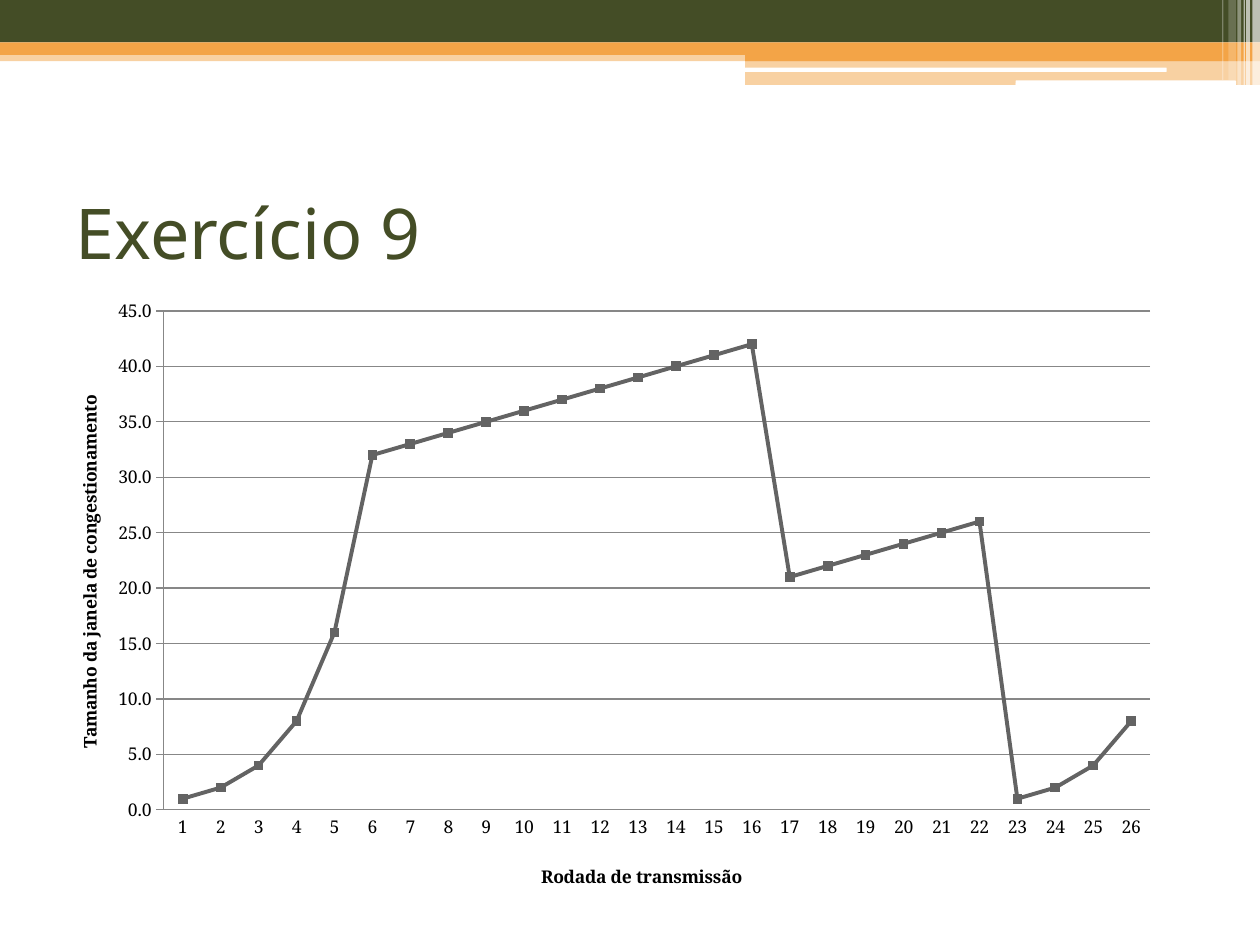
import dataclasses

import lxml.etree
import pptx
import pptx.chart.data
import pptx.dml.color
import pptx.enum.chart
import pptx.enum.shapes
import pptx.enum.text
import pptx.oxml.ns
import pptx.util


@dataclasses.dataclass(frozen=True)
class Theme:
    """Hold the colours, fonts and type sizes."""
    green: str = "444D26"
    orange: str = "F3A447"
    white: str = "FFFFFF"
    black: str = "000000"
    series: str = "636363"
    grid: str = "878787"
    title_font: str = "Noto Sans"
    chart_font: str = "Noto Serif"
    title_size: int = 40
    chart_size: int = 10


T = Theme()
QN = pptx.oxml.ns.qn
RGB = pptx.dml.color.RGBColor.from_string


def share(box, left, top, width, height):
    """Return the part of a box given in percent of its size."""
    x, y, w, h = box
    return [int(v) for v in (x + w * left / 100, y + h * top / 100,
                             w * width / 100, h * height / 100)]


def add_block(s, box, color, alpha=100, rounded=False):
    """Add a borderless block with optional transparency."""
    kinds = pptx.enum.shapes.MSO_SHAPE
    sp = s.shapes.add_shape(kinds.ROUNDED_RECTANGLE if rounded else kinds.RECTANGLE, *box)
    sp.shadow.inherit = False
    sp.line.fill.background()
    sp.fill.solid()
    sp.fill.fore_color.rgb = RGB(color)
    if alpha < 100:
        clr = sp.fill._xPr.find(".//" + QN("a:srgbClr"))
        lxml.etree.SubElement(clr, QN("a:alpha")).set("val", str(alpha * 1000))


def add_header(s, box):
    """Draw the bands, white lines and fading stripes of the header."""
    bands = [
        (0, 59, 100, 13, T.orange, 50),
        (0, 0, 100, 50, T.green, 100),
        (0, 50, 100, 14.7, T.orange, 100),
        (59.15, 57.4, 40.85, 14.7, T.orange, 100),
        (59.15, 70.6, 40.85, 29.4, T.orange, 50),
    ]
    for *part, color, alpha in bands:
        add_block(s, share(box, *part), color, alpha)
    for part in [(59.1, 79.6, 33.5, 5), (80.6, 94.6, 17.5, 5.4)]:
        add_block(s, share(box, *part), T.white, rounded=True)
    stripes = [(99.4, 0.6, 100, 65), (98.9, 0.3, 100, 65), (98.7, 0.1, 100, 60),
               (98.2, 0.3, 100, 40), (97.5, 0.6, 94, 20), (97, 0.1, 94, 30)]
    for left, width, height, alpha in stripes:
        add_block(s, share(box, left, 0, width, height), T.white, alpha)


def add_title(s, box, text):
    """Place and format the title placeholder."""
    sp = s.shapes.title
    sp.left, sp.top, sp.width, sp.height = box
    tf = sp.text_frame
    tf.word_wrap = True
    tf.vertical_anchor = pptx.enum.text.MSO_ANCHOR.MIDDLE
    p = tf.paragraphs[0]
    p.alignment = pptx.enum.text.PP_ALIGN.LEFT
    r = p.add_run()
    r.text = text
    set_font(r.font, T.title_font, T.title_size, T.green)


def set_font(font, name, size, color, bold=False):
    """Set the name, size, colour and weight of a font."""
    font.name, font.size, font.bold = name, pptx.util.Pt(size), bold
    font.color.rgb = RGB(color)


def set_layout(parent, index, inner=False, **edges):
    """Give a chart part a manual place in shares of the chart."""
    for old in parent.findall(QN("c:layout")):
        parent.remove(old)
    layout = parent.makeelement(QN("c:layout"))
    parent.insert(index, layout)
    manual = lxml.etree.SubElement(layout, QN("c:manualLayout"))
    values = {"layoutTarget": "inner"} if inner else {}
    values.update(xMode="edge", yMode="edge", **edges)
    for tag, value in values.items():
        lxml.etree.SubElement(manual, QN("c:" + tag)).set("val", str(value))


def format_axis(axis, title, x, y):
    """Style an axis and its bold title."""
    axis.format.line.color.rgb = RGB(T.grid)
    axis.minor_tick_mark = pptx.enum.chart.XL_TICK_MARK.NONE
    p = axis.axis_title.text_frame.paragraphs[0]
    r = p.add_run()
    r.text = title
    set_font(r.font, T.chart_font, T.chart_size, T.black, True)
    set_layout(axis.axis_title._element, 1, x=x, y=y)


def add_window_chart(s, box):
    """Add the line chart of congestion window by transmission round."""
    values = [1, 2, 4, 8, 16, *range(32, 43), *range(21, 27), 1, 2, 4, 8]
    data = pptx.chart.data.CategoryChartData(number_format="0.0")
    data.categories = [str(n + 1) for n in range(len(values))]
    data.add_series("Series 1", values)
    kind = pptx.enum.chart.XL_CHART_TYPE.LINE_MARKERS
    chart = s.shapes.add_chart(kind, *box, data).chart
    chart.has_legend = chart.has_title = False
    set_font(chart.font, T.chart_font, T.chart_size, T.black)
    chart.plots[0].vary_by_categories = False

    ticks = pptx.enum.chart.XL_TICK_MARK
    cat, val = chart.category_axis, chart.value_axis
    format_axis(cat, "Rodada de transmissão", 0.44, 0.92)
    format_axis(val, "Tamanho da janela de congestionamento", 0.03, 0.17)
    cat.major_tick_mark, val.major_tick_mark = ticks.NONE, ticks.CROSS
    val.minimum_scale, val.maximum_scale, val.major_unit = 0, 45, 5
    val.has_major_gridlines = True
    val.major_gridlines.format.line.color.rgb = RGB(T.grid)
    val.tick_labels.number_format = "0.0"
    val.tick_labels.number_format_is_linked = False

    series = chart.plots[0].series[0]
    series.smooth = False
    series.format.line.color.rgb = RGB(T.series)
    series.format.line.width = pptx.util.Pt(2.25)
    series.marker.style = pptx.enum.chart.XL_MARKER_STYLE.SQUARE
    series.marker.size = 5
    series.marker.format.fill.solid()
    series.marker.format.fill.fore_color.rgb = RGB(T.series)
    series.marker.format.line.color.rgb = RGB(T.series)
    plot_area = chart._chartSpace.chart.plotArea
    set_layout(plot_area, 0, inner=True, x=0.11, y=0.04, w=0.87, h=0.8)


def main():
    """Build and save the slide."""
    prs = pptx.Presentation()
    prs.slide_width, prs.slide_height = pptx.util.Inches(10), pptx.util.Inches(7.5)
    s = prs.slides.add_slide(prs.slide_layouts[5])
    page = (0, 0, prs.slide_width, prs.slide_height)
    add_header(s, share(page, 0, 0, 100, 9))
    add_title(s, share(page, 5, 16.67, 90, 15.6), "Exercício 9")
    add_window_chart(s, share(page, 3.1, 30.27, 90, 66))
    prs.save("out.pptx")


main()
